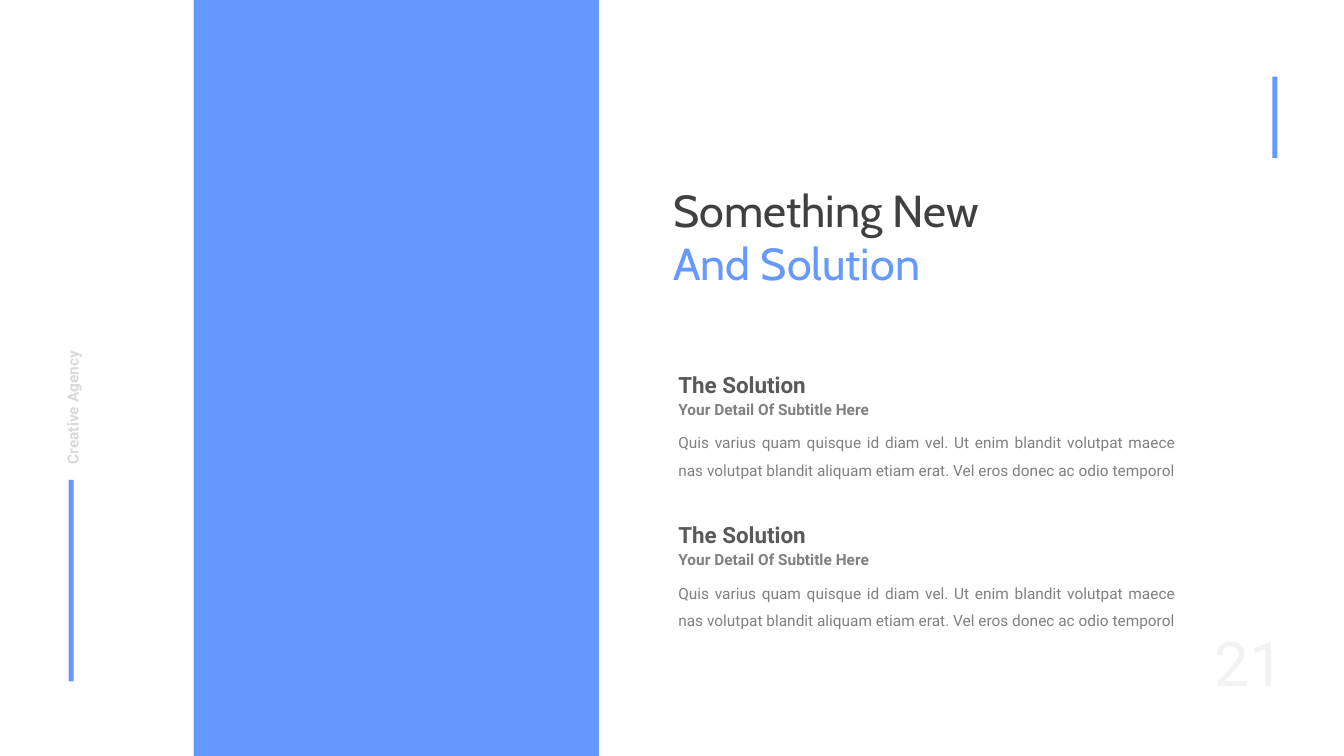
import pptx
import pptx.dml.color
import pptx.enum.shapes
import pptx.enum.text
import pptx.util
from dataclasses import dataclass

PX = 9144  # EMU per px, 100 px to the inch
BLUE = "6699FF"
GREY = "808080"
ALIGN = pptx.enum.text.PP_ALIGN


@dataclass
class Box:
    left: int
    top: int
    width: int
    height: int

    def emu(self) -> list[int]:
        return [n * PX for n in (self.left, self.top, self.width, self.height)]


@dataclass
class Style:
    size: int
    color: str
    bold: bool = False
    face: str = "Roboto"


@dataclass
class Line:
    """One text of a block, placed relative to the top of the block."""
    text: str
    box: Box
    style: Style


def paint(color: str) -> pptx.dml.color.RGBColor:
    return pptx.dml.color.RGBColor.from_string(color)


def add_bar(slide, box: Box) -> None:
    bar = slide.shapes.add_shape(pptx.enum.shapes.MSO_SHAPE.RECTANGLE, *box.emu())
    bar.shadow.inherit = False
    bar.fill.solid()
    bar.fill.fore_color.rgb = paint(BLUE)
    bar.line.fill.background()


def dress(run, style: Style) -> None:
    run.font.size = pptx.util.Pt(style.size)
    run.font.name = style.face
    run.font.bold = style.bold
    run.font.color.rgb = paint(style.color)


def add_text(slide, text: str, box: Box, style: Style, align=ALIGN.LEFT):
    shape = slide.shapes.add_textbox(*box.emu())
    frame = shape.text_frame
    frame.word_wrap = True
    frame.text = text
    para = frame.paragraphs[0]
    para.alignment = align
    dress(para.runs[0], style)
    return shape


def add_body(slide, text: str, box: Box, style: Style):
    """Add justified text with wide line spacing."""
    shape = add_text(slide, text, box, style, ALIGN.JUSTIFY)
    para = shape.text_frame.paragraphs[0]
    para.line_spacing = 1.5
    para.space_before = para.space_after = pptx.util.Pt(18)
    return shape


BARS = [
    Box(192, 0, 402, 750),
    Box(68, 476, 5, 200),
    Box(1262, 76, 5, 81),
]
LINES = [
    Line("The Solution", Box(663, 0, 223, 46), Style(16, "595959", True)),
    Line("Your Detail Of Subtitle Here", Box(663, 33, 334, 35),
         Style(11, GREY, True)),
    Line("Quis varius quam quisque id diam vel. Ut enim blandit volutpat maece "
         "nas volutpat blandit aliquam etiam erat. Vel eros donec ac odio temporol",
         Box(663, 66, 513, 63), Style(11, GREY)),
]
BLOCK_TOPS = (350, 499)


def main() -> None:
    deck = pptx.Presentation()
    deck.slide_width, deck.slide_height = 1333 * PX, 750 * PX
    slide = deck.slides.add_slide(deck.slide_layouts[6])

    for bar in BARS:
        add_bar(slide, bar)

    label = add_body(slide, "Creative Agency", Box(-10, 377, 152, 35),
                     Style(11, "D9D9D9", True))
    label.rotation = 270

    title = add_text(slide, "Something New ", Box(658, 176, 340, 118),
                     Style(32, "404040", face="Cabin"))
    para = title.text_frame.paragraphs[0]
    para.space_after = pptx.util.Pt(8)
    accent = para.add_run()
    accent.text = "And Solution"
    dress(accent, Style(32, BLUE, face="Cabin"))

    for top in BLOCK_TOPS:
        for line in LINES:
            box = line.box
            place = Box(box.left, top + box.top, box.width, box.height)
            add_body(slide, line.text, place, line.style)

    add_text(slide, "21", Box(1179, 615, 120, 82), Style(44, "F2F2F2"),
             ALIGN.CENTER)
    deck.save("out.pptx")


if __name__ == "__main__":
    main()
